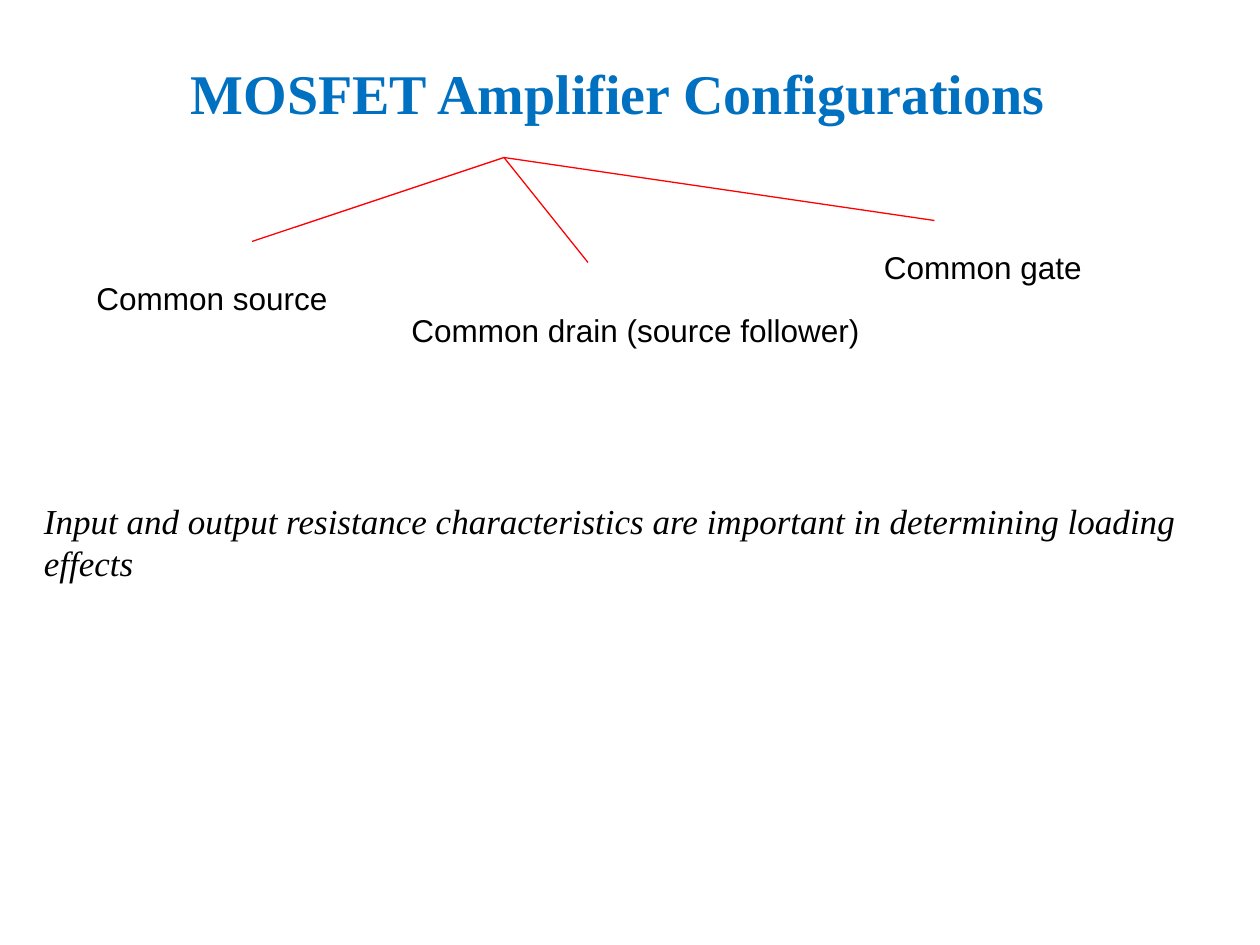
"""Build the slide on MOSFET amplifier configurations."""
import dataclasses

import lxml.etree
import pptx
import pptx.dml.color
import pptx.enum.shapes
import pptx.enum.text
import pptx.oxml.ns
import pptx.util

Pt = pptx.util.Pt


@dataclasses.dataclass(frozen=True)
class Theme:
    """Colours, fonts and sizes of the slide."""
    title: str = "0070C0"
    text: str = "000000"
    branch: str = "FF0000"
    serif: str = "Times New Roman"
    sans: str = "Arial"
    title_size: float = 32
    label_size: float = 18
    note_size: float = 20
    branch_width: float = 0.75


THEME = Theme()


def add_text(slide, box, text, font, size, color, wrap=True, bold=None, italic=None):
    """Place one run of text in a box that grows with its text."""
    sp = slide.shapes.add_textbox(*map(Pt, box))
    tf = sp.text_frame
    tf.word_wrap = wrap
    tf.auto_size = pptx.enum.text.MSO_AUTO_SIZE.SHAPE_TO_FIT_TEXT
    r = tf.paragraphs[0].add_run()
    r.text = text
    r.font.name, r.font.size = font, Pt(size)
    r.font.bold, r.font.italic = bold, italic
    r.font.color.rgb = pptx.dml.color.RGBColor.from_string(color)


def add_title(slide, box):
    """Place the slide title."""
    add_text(slide, box, "MOSFET Amplifier Configurations", THEME.serif,
             THEME.title_size, THEME.title, bold=True)


def add_branch(slide, start, end):
    """Draw one plain line of the tree."""
    line = slide.shapes.add_connector(
        pptx.enum.shapes.MSO_CONNECTOR.STRAIGHT, *map(Pt, start + end))
    line.line.color.rgb = pptx.dml.color.RGBColor.from_string(THEME.branch)
    line.line.width = Pt(THEME.branch_width)
    lxml.etree.SubElement(line._element.spPr, pptx.oxml.ns.qn("a:effectLst"))


def add_tree(slide, box):
    """Draw the branches and their labels relative to the box."""
    left, top, width, height = box
    root = (left + 240, top)
    label_height = 29
    leaves = [
        ("Common source", 96, 48, 0, 147.5),
        ("Common drain (source follower)", 288, 60, 180, 273),
        ("Common gate", 486, 36, width - 129, 129),
    ]
    for _, x, y, _, _ in leaves:
        add_branch(slide, root, (left + x, top + y))
    for text, _, y, label_x, label_width in leaves:
        label_top = top + height - label_height - (60 - y) * 1.5
        add_text(slide, (left + label_x, label_top, label_width, label_height),
                 text, THEME.sans, THEME.label_size, THEME.text, wrap=False)


def add_note(slide, box):
    """Place the remark below the tree."""
    add_text(slide, box,
             "Input and output resistance characteristics are important "
             "in determining loading effects",
             THEME.serif, THEME.note_size, THEME.text, italic=True)


def main():
    """Build and save the presentation."""
    prs = pptx.Presentation()
    prs.slide_width, prs.slide_height = Pt(720), Pt(540)
    slide = prs.slides.add_slide(prs.slide_layouts[6])
    add_title(slide, (102, 30, 522, 46))
    add_tree(slide, (48, 90, 579, 113))
    add_note(slide, (18, 282, 672, 55.5))
    prs.save("out.pptx")


if __name__ == "__main__":
    main()
